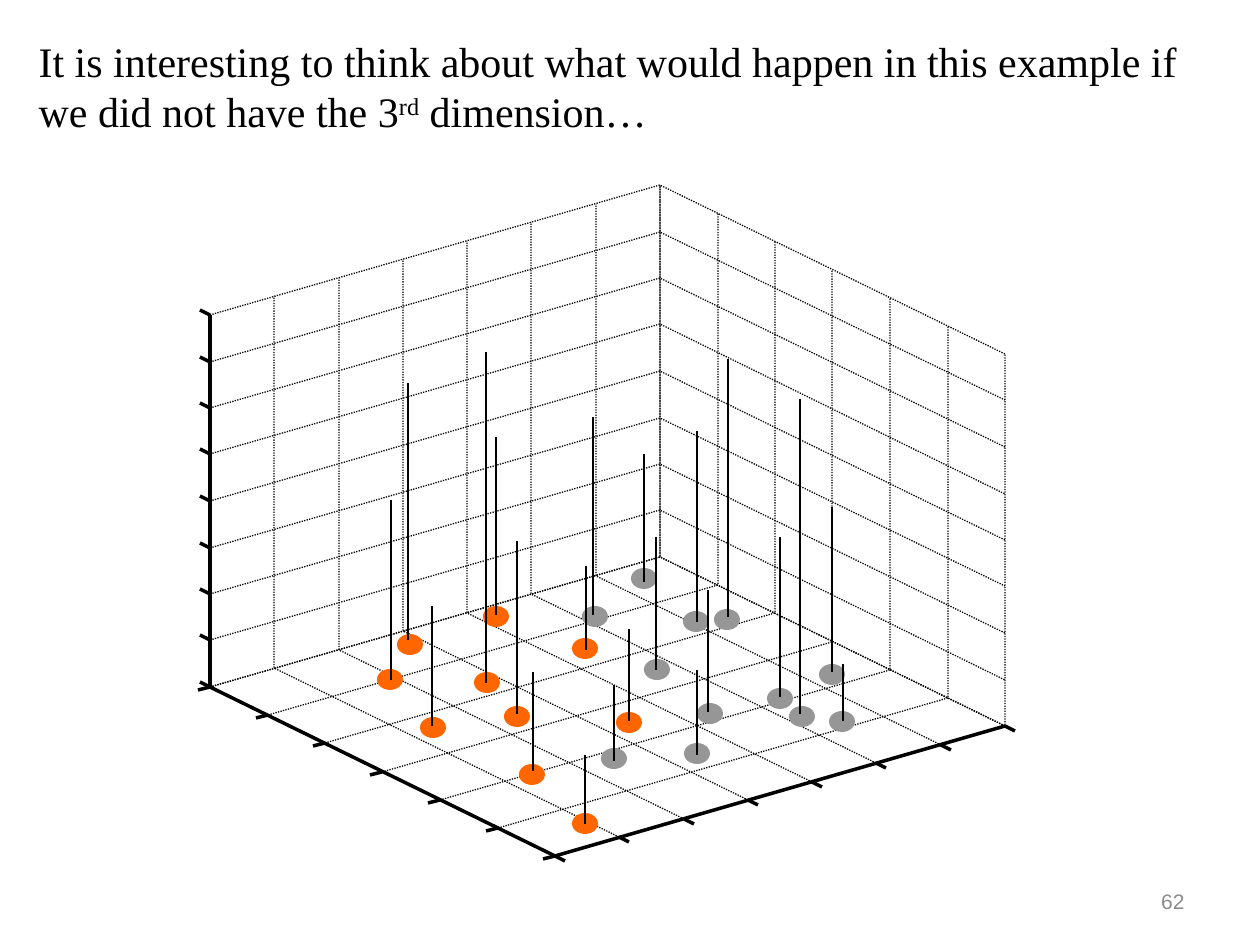
from lxml.etree import SubElement
from pptx import Presentation
from pptx.dml.color import RGBColor
from pptx.enum.dml import MSO_LINE
from pptx.enum.shapes import MSO_CONNECTOR, MSO_SHAPE
from pptx.enum.text import MSO_ANCHOR, MSO_AUTO_SIZE, PP_ALIGN
from pptx.oxml.ns import qn
from pptx.util import Emu, Pt

EMU_PER_PIXEL = 914400 / 126
BLACK, ORANGE, GRAY, NUMBER_GRAY = "000000", "FF6600", "969696", "8C8C8C"

ALONG_STEPS, DEPTH_STEPS, LEVEL_STEPS = 7, 6, 8
LEFT_CORNER = (210, 687)
ALONG_SPAN = (450, -130)
DEPTH_SPAN = (345, 169)
LEVEL_SPAN = (0, -372)

ORANGE_PINS = [
    (572, 813, 585, 755, 824), (377, 669, 391, 500, 680),
    (572, 638, 586, 566, 650), (616, 712, 629, 629, 721),
    (397, 634, 408, 383, 640), (483, 606, 496, 437, 615),
    (519, 764, 533, 672, 771), (420, 717, 432, 606, 726),
    (474, 672, 486, 352, 683), (504, 706, 517, 541, 714),
]
GRAY_PINS = [
    (631, 568, 644, 454, 582), (789, 706, 800, 399, 714),
    (644, 659, 656, 537, 670), (819, 664, 832, 507, 672),
    (684, 743, 697, 670, 755), (697, 703, 708, 590, 712),
    (601, 748, 614, 685, 761), (767, 688, 780, 537, 697),
    (714, 609, 728, 359, 617), (829, 711, 843, 664, 721),
    (683, 611, 697, 431, 622), (582, 606, 593, 417, 615),
]


def emu(pixels):
    """Turn pixels into EMU."""
    return Emu(round(pixels * EMU_PER_PIXEL))


def color(hex_value):
    """Turn a hex string into a colour."""
    return RGBColor.from_string(hex_value)


def apply(target, values):
    """Set attributes from a dict of format values."""
    for name, value in values.items():
        setattr(target, name, value)


def grid_point(along, depth, level):
    """Project a grid position of the box onto the slide."""
    shares = (along / ALONG_STEPS, depth / DEPTH_STEPS, level / LEVEL_STEPS)
    spans = (ALONG_SPAN, DEPTH_SPAN, LEVEL_SPAN)
    return tuple(
        round(LEFT_CORNER[axis] + sum(share * span[axis] for share, span in zip(shares, spans)))
        for axis in (0, 1)
    )


class SlideBuilder:
    """Hold the style and the current slide."""

    title_font = {"name": "Times New Roman", "size": Pt(24), "bold": False}
    number_font = {"name": "Arial", "size": Pt(12)}
    grid_line = {"width": Pt(0), "dash_style": MSO_LINE.ROUND_DOT}
    axis_line = {"width": Pt(0)}
    stem_line = {"width": Pt(0.75)}
    dot_size = (26, 21)

    def __init__(self, slide):
        """Keep the slide that receives the elements."""
        self.slide = slide

    def place(self, shape, left, top, width, height):
        """Move and size a shape."""
        box = {"left": left, "top": top, "width": width, "height": height}
        apply(shape, {name: emu(value) for name, value in box.items()})

    def fill_text(self, shape, parts, font, hex_value, alignment, anchor):
        """Fill a shape with one paragraph of text and baseline pairs."""
        frame = shape.text_frame
        apply(frame, {"word_wrap": True, "auto_size": MSO_AUTO_SIZE.NONE, "vertical_anchor": anchor})
        paragraph = frame.paragraphs[0]
        paragraph.alignment = alignment
        for text, baseline in parts:
            run = paragraph.add_run()
            run.text = text
            apply(run.font, font)
            run.font.color.rgb = color(hex_value)
            if baseline:
                run._r.get_or_add_rPr().set("baseline", str(baseline * 1000))

    def title(self, parts, box):
        """Fill the title placeholder."""
        shape = self.slide.shapes.title
        self.place(shape, *box)
        self.fill_text(shape, parts, self.title_font, BLACK, PP_ALIGN.LEFT, MSO_ANCHOR.TOP)

    def page_number(self, text, box):
        """Add the page number."""
        shape = self.slide.shapes.add_textbox(*map(emu, box))
        self.fill_text(shape, [(text, 0)], self.number_font, NUMBER_GRAY, PP_ALIGN.RIGHT, MSO_ANCHOR.MIDDLE)

    def grid_path(self, *points):
        """Draw a dotted open path."""
        start, *others = [(emu(x), emu(y)) for x, y in points]
        builder = self.slide.shapes.build_freeform(*start)
        builder.add_line_segments(others, close=False)
        shape = builder.convert_to_shape()
        shape.shadow.inherit = False
        shape.fill.background()
        shape.line.color.rgb = color(BLACK)
        apply(shape.line, self.grid_line)

    def line(self, start, end, line_format):
        """Draw a straight black line."""
        connector = self.slide.shapes.add_connector(
            MSO_CONNECTOR.STRAIGHT, *map(emu, start + end)
        )
        connector.line.color.rgb = color(BLACK)
        apply(connector.line, line_format)
        SubElement(connector._element.spPr, qn("a:effectLst"))

    def tick(self, point, offset):
        """Draw a tick outwards from an axis point."""
        end = (point[0] + offset[0], point[1] + offset[1])
        self.line(point, end, self.axis_line)

    def dot(self, left, top, hex_value):
        """Draw a data point on the floor."""
        shape = self.slide.shapes.add_shape(
            MSO_SHAPE.OVAL, *map(emu, (left, top) + self.dot_size)
        )
        shape.shadow.inherit = False
        shape.fill.solid()
        shape.fill.fore_color.rgb = color(hex_value)
        shape.line.fill.background()

    def box(self):
        """Draw the grid, axes and ticks of the box."""
        along_range = range(ALONG_STEPS + 1)
        depth_range = range(DEPTH_STEPS + 1)
        level_range = range(LEVEL_STEPS + 1)
        for along in along_range:
            self.grid_path(
                grid_point(along, DEPTH_STEPS, 0),
                grid_point(along, 0, 0),
                grid_point(along, 0, LEVEL_STEPS),
            )
        for depth in depth_range:
            self.grid_path(
                grid_point(0, depth, 0),
                grid_point(ALONG_STEPS, depth, 0),
                grid_point(ALONG_STEPS, depth, LEVEL_STEPS),
            )
        for level in level_range:
            self.grid_path(
                grid_point(0, 0, level),
                grid_point(ALONG_STEPS, 0, level),
                grid_point(ALONG_STEPS, DEPTH_STEPS, level),
            )
        front = grid_point(0, DEPTH_STEPS, 0)
        self.line(front, grid_point(ALONG_STEPS, DEPTH_STEPS, 0), self.axis_line)
        self.line(front, LEFT_CORNER, self.axis_line)
        self.line(LEFT_CORNER, grid_point(0, 0, LEVEL_STEPS), self.axis_line)
        for along in along_range:
            self.tick(grid_point(along, DEPTH_STEPS, 0), (10, 5))
        for depth in depth_range:
            self.tick(grid_point(0, depth, 0), (-12, 3))
        for level in level_range:
            self.tick(grid_point(0, 0, level), (-10, -5))

    def pins(self, groups):
        """Draw all dots and then their stems."""
        for hex_value, pins in groups.items():
            for left, top, *_ in pins:
                self.dot(left, top, hex_value)
        for pins in groups.values():
            for _, _, x, top, bottom in pins:
                self.line((x, top), (x, bottom), self.stem_line)


def main():
    """Build and save the slide."""
    presentation = Presentation()
    apply(presentation, {"slide_width": emu(1260), "slide_height": emu(945)})
    builder = SlideBuilder(presentation.slides.add_slide(presentation.slide_layouts[5]))
    builder.box()
    builder.pins({ORANGE: ORANGE_PINS, GRAY: GRAY_PINS})
    sentence = "It is interesting to think about what would happen in this example if we did not have the 3"
    builder.title([(sentence, 0), ("rd", 30), (" dimension…", 0)], (26, 29, 1188, 115))
    builder.page_number("62", (903, 876, 294, 50))
    presentation.save("out.pptx")


if __name__ == "__main__":
    main()
